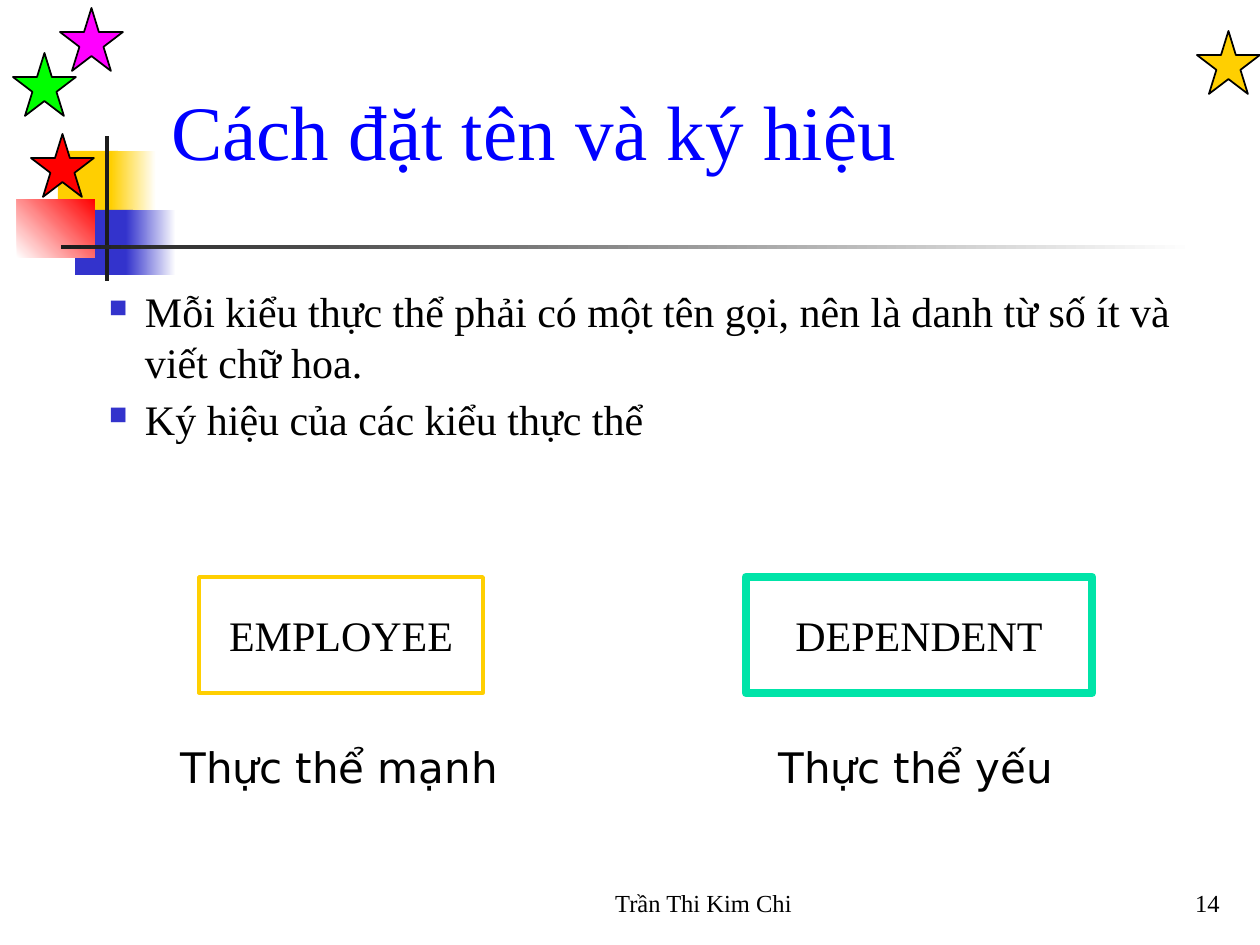
from lxml import etree
from pptx import Presentation
from pptx.dml.color import RGBColor
from pptx.enum.shapes import MSO_SHAPE
from pptx.enum.text import MSO_ANCHOR, PP_ALIGN
from pptx.oxml.ns import qn
from pptx.util import Emu, Pt

RECT, STAR = MSO_SHAPE.RECTANGLE, MSO_SHAPE.STAR_5_POINT
TOP, MID, LOW = MSO_ANCHOR.TOP, MSO_ANCHOR.MIDDLE, MSO_ANCHOR.BOTTOM
LEFT, MAIN, RIGHT = PP_ALIGN.LEFT, PP_ALIGN.CENTER, PP_ALIGN.RIGHT

PX = 914400 / 126  # EMU per px
THEME = {
    "gold": "FFCF01", "blue": "3333CC", "red": "FF0000", "dark": "1C1C1C",
    "lime": "00FF00", "pink": "FF00FF", "mint": "00E4A8", "white": "FFFFFF",
    "black": "000000", "title": "0000FF",
    "serif": "Times New Roman", "sans": "DejaVu Sans",
    "big": 44, "text": 24, "small": 14,
}

deck = Presentation()
deck.slide_width, deck.slide_height = Emu(round(1260 * PX)), Emu(round(945 * PX))
slide = deck.slides.add_slide(deck.slide_layouts[6])


def draw(kind, box, fill, line=None, width=1, angle=0):
    """Add a shape; fill is one colour name or a pair for a gradient."""
    shape = slide.shapes.add_shape(kind, *[Emu(round(n * PX)) for n in box])
    shape.shadow.inherit = False
    if isinstance(fill, tuple):
        shape.fill.gradient()
        shape.fill.gradient_angle = angle
        for stop, name in zip(shape.fill.gradient_stops, fill):
            stop.color.rgb = RGBColor.from_string(THEME[name])
    else:
        shape.fill.solid()
        shape.fill.fore_color.rgb = RGBColor.from_string(THEME[fill])
    if line:
        shape.line.color.rgb = RGBColor.from_string(THEME[line])
        shape.line.width = Pt(width)
    else:
        shape.line.fill.background()
    return shape


def write(host, lines, size="text", face="serif", color="black",
          align=LEFT, anchor=TOP, wrap=True, bullet=False):
    """Put lines in a shape, or in a new text box when host is a box of px."""
    if isinstance(host, tuple):
        host = slide.shapes.add_textbox(*[Emu(round(n * PX)) for n in host])
    frame = host.text_frame
    frame.word_wrap, frame.vertical_anchor = wrap, anchor
    frame.text = "\n".join(lines)
    look = {"size": Pt(THEME[size]), "name": THEME[face]}
    for i, para in enumerate(frame.paragraphs):
        para.alignment = align
        if bullet:
            props = para._p.get_or_add_pPr()
            props.set("marL", str(round(36 * PX)))
            props.set("indent", str(round(-36 * PX)))
            tint = etree.SubElement(props, qn("a:buClr"))
            etree.SubElement(tint, qn("a:srgbClr"), val=THEME["blue"])
            etree.SubElement(props, qn("a:buSzPct"), val="60000")
            etree.SubElement(props, qn("a:buChar"), char="■")
            if i:
                para.space_before = Pt(4)
        for run in para.runs:
            for key, value in look.items():
                setattr(run.font, key, value)
            run.font.color.rgb = RGBColor.from_string(THEME[color])
    return frame


# Corner blocks and rules
for box, fill, angle in [
    ((58, 151, 60, 65), "gold", 0),
    ((111, 151, 45, 65), ("gold", "white"), 0),
    ((75, 210, 58, 65), "blue", 0),
    ((126, 210, 50, 65), ("blue", "white"), 0),
    ((17, 199, 78, 59), ("white", "red"), 45),
    ((105, 136, 4, 145), "dark", 0),
    ((61, 245, 1134, 4), ("dark", "white"), 0),
]:
    draw(RECT, box, fill, angle=angle)

# Stars
for x, y, fill in [(1197, 31, "gold"), (31, 134, "red"),
                   (13, 53, "lime"), (60, 8, "pink")]:
    draw(STAR, (x, y, 63, 63), fill, "black")

# Title and body
write((159, 29, 1073, 202), ["Cách đặt tên và ký hiệu"],
      size="big", color="title", anchor=MID)
body = write((84, 273, 1128, 577), [
    "Mỗi kiểu thực thể phải có một tên gọi, nên là danh từ số ít và viết chữ hoa.",
    "Ký hiệu của các kiểu thực thể",
], bullet=True)
body.margin_left, body.margin_top = Emu(round(25 * PX)), Emu(round(13 * PX))

# Entity symbols with their captions
for x, w, name, line, width, left, span, label in [
    (199, 284, "EMPLOYEE", "gold", 2, 168, 345, "Thực thể mạnh"),
    (746, 346, "DEPENDENT", "mint", 5, 766, 302, "Thực thể yếu"),
]:
    entity = draw(RECT, (x, 577, w, 116), "white", line, width)
    write(entity, [name], align=MAIN, anchor=MID, wrap=False)
    write((left, 735, span, 63), [label], face="sans", wrap=False)

# Footer
for x, w, words, align in [(504, 399, "Trần Thi Kim Chi", MAIN),
                           (970, 262, "14", RIGHT)]:
    write((x, 861, w, 63), [words], size="small", align=align, anchor=LOW)

deck.save("out.pptx")
